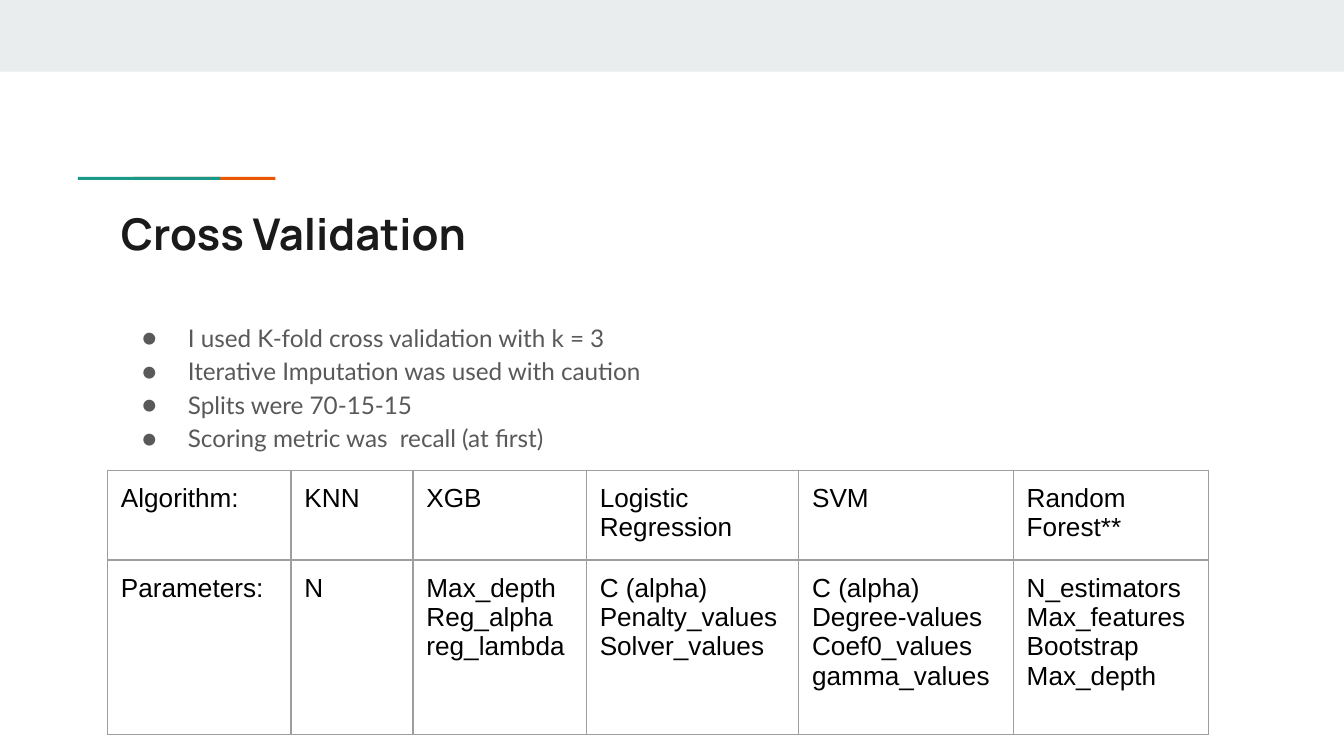
from dataclasses import dataclass
from typing import Iterable

from lxml.etree import SubElement
from pptx import Presentation
from pptx.dml.color import RGBColor
from pptx.enum.shapes import MSO_SHAPE
from pptx.enum.text import MSO_ANCHOR, PP_ALIGN
from pptx.oxml.ns import qn
from pptx.util import Inches, Pt

WIDTH = Inches(10)
HEIGHT = WIDTH * 9 // 16
INSET = Inches(0.1)


@dataclass(frozen=True)
class Theme:
    band: str = "E9EDEE"
    orange: str = "EB5600"
    teal: str = "1A9988"
    title: str = "1A1A1A"
    body: str = "595959"
    cell: str = "000000"
    grid: str = "9E9E9E"
    title_size: float = 23.4
    body_size: float = 13
    cell_size: float = 14
    grid_width: float = 0.75


@dataclass(frozen=True)
class Box:
    """Position and size in percent of the slide."""
    left: float
    top: float
    width: float
    height: float

    def emu(self) -> tuple[int, int, int, int]:
        return (across(self.left), down(self.top),
                across(self.width), down(self.height))


@dataclass(frozen=True)
class Bar:
    box: Box
    color: str


@dataclass(frozen=True)
class Model:
    """One column of the table."""
    width: float
    name: str
    parameters: tuple[str, ...]


THEME = Theme()
BAR_WIDTH, BAR_STEP = 10.6, 4.1
BARS = (
    Bar(Box(0, 0, 100, 9.5), THEME.band),
    Bar(Box(5.8 + BAR_STEP, 23.4, BAR_WIDTH, 0.4), THEME.orange),
    Bar(Box(5.8, 23.4, BAR_WIDTH, 0.4), THEME.teal),
)
TITLE_BOX = Box(8, 25.6, 84.1, 10.5)
POINTS_BOX = Box(8, 40.4, 84.1, 43.9)
POINTS = (
    "I used K-fold cross validation with k = 3",
    "Iterative Imputation was used with caution",
    "Splits were 70-15-15",
    "Scoring metric was  recall (at first)",
)
ROW_HEIGHTS = (11.8, 23.1)
MODELS = (
    Model(13.65, "Algorithm:", ("Parameters:",)),
    Model(9.08, "KNN", ("N",)),
    Model(12.9, "XGB", ("Max_depth", "Reg_alpha", "reg_lambda")),
    Model(15.8, "Logistic Regression",
          ("C (alpha)", "Penalty_values", "Solver_values")),
    Model(15.97, "SVM",
          ("C (alpha)", "Degree-values", "Coef0_values", "gamma_values")),
    Model(14.5, "Random Forest**",
          ("N_estimators", "Max_features", "Bootstrap", "Max_depth")),
)


def across(percent: float) -> int:
    return round(WIDTH * percent / 100)


def down(percent: float) -> int:
    return round(HEIGHT * percent / 100)


def write(frame, lines: Iterable[str], *, font: str, size: float, color: str,
          bold: bool = False, spacing: float = 1.0, bullet: str = "") -> None:
    frame.word_wrap = True
    for index, line in enumerate(lines):
        paragraph = frame.add_paragraph() if index else frame.paragraphs[0]
        paragraph.alignment = PP_ALIGN.LEFT
        paragraph.line_spacing = spacing
        run = paragraph.add_run()
        run.text = line
        run.font.name, run.font.size, run.font.bold = font, Pt(size), bold
        run.font.color.rgb = RGBColor.from_string(color)
        if bullet:
            add_bullet(paragraph, bullet, font, size, color)


def add_bullet(paragraph, mark: str, font: str, size: float,
               color: str) -> None:
    props = paragraph._p.get_or_add_pPr()
    props.set("marL", str(Inches(0.5)))
    props.set("indent", str(Inches(-0.34)))
    tint = SubElement(props, qn("a:buClr"))
    SubElement(tint, qn("a:srgbClr"), val=color)
    SubElement(props, qn("a:buSzPts"), val=str(round(size * 100)))
    SubElement(props, qn("a:buFont"), typeface=font)
    SubElement(props, qn("a:buChar"), char=mark)


def set_insets(holder) -> None:
    holder.margin_left = holder.margin_right = INSET
    holder.margin_top = holder.margin_bottom = INSET
    holder.vertical_anchor = MSO_ANCHOR.TOP


def draw_bar(slide, bar: Bar) -> None:
    rectangle = slide.shapes.add_shape(MSO_SHAPE.RECTANGLE, *bar.box.emu())
    rectangle.shadow.inherit = False
    rectangle.fill.solid()
    rectangle.fill.fore_color.rgb = RGBColor.from_string(bar.color)
    rectangle.line.fill.background()


def draw_title(slide, text: str) -> None:
    title = slide.shapes.title
    title.left, title.top, title.width, title.height = TITLE_BOX.emu()
    set_insets(title.text_frame)
    write(title.text_frame, [text], font="Manrope", size=THEME.title_size,
          color=THEME.title, bold=True)


def draw_points(slide) -> None:
    frame = slide.shapes.add_textbox(*POINTS_BOX.emu()).text_frame
    set_insets(frame)
    write(frame, POINTS, font="Lato", size=THEME.body_size, color=THEME.body,
          spacing=1.15, bullet="●")


def outline(cell) -> None:
    props = cell._tc.get_or_add_tcPr()
    for side in ("lnL", "lnR", "lnT", "lnB"):
        line = SubElement(props, qn(f"a:{side}"), w=str(Pt(THEME.grid_width)))
        fill = SubElement(line, qn("a:solidFill"))
        SubElement(fill, qn("a:srgbClr"), val=THEME.grid)


def draw_models(slide) -> None:
    box = Box(8, 62.2, sum(model.width for model in MODELS), sum(ROW_HEIGHTS))
    table = slide.shapes.add_table(
        len(ROW_HEIGHTS), len(MODELS), *box.emu()).table
    table.first_row = table.horz_banding = False
    for row, height in zip(table.rows, ROW_HEIGHTS):
        row.height = down(height)
    for column, model in enumerate(MODELS):
        table.columns[column].width = across(model.width)
        for row, lines in enumerate(((model.name,), model.parameters)):
            cell = table.cell(row, column)
            set_insets(cell)
            outline(cell)
            cell.fill.background()
            write(cell.text_frame, lines, font="Arial",
                  size=THEME.cell_size, color=THEME.cell)


def main() -> None:
    deck = Presentation()
    deck.slide_width, deck.slide_height = WIDTH, HEIGHT
    slide = deck.slides.add_slide(deck.slide_layouts.get_by_name("Title Only"))
    for bar in BARS:
        draw_bar(slide, bar)
    draw_title(slide, "Cross Validation")
    draw_points(slide)
    draw_models(slide)
    deck.save("out.pptx")


if __name__ == "__main__":
    main()
